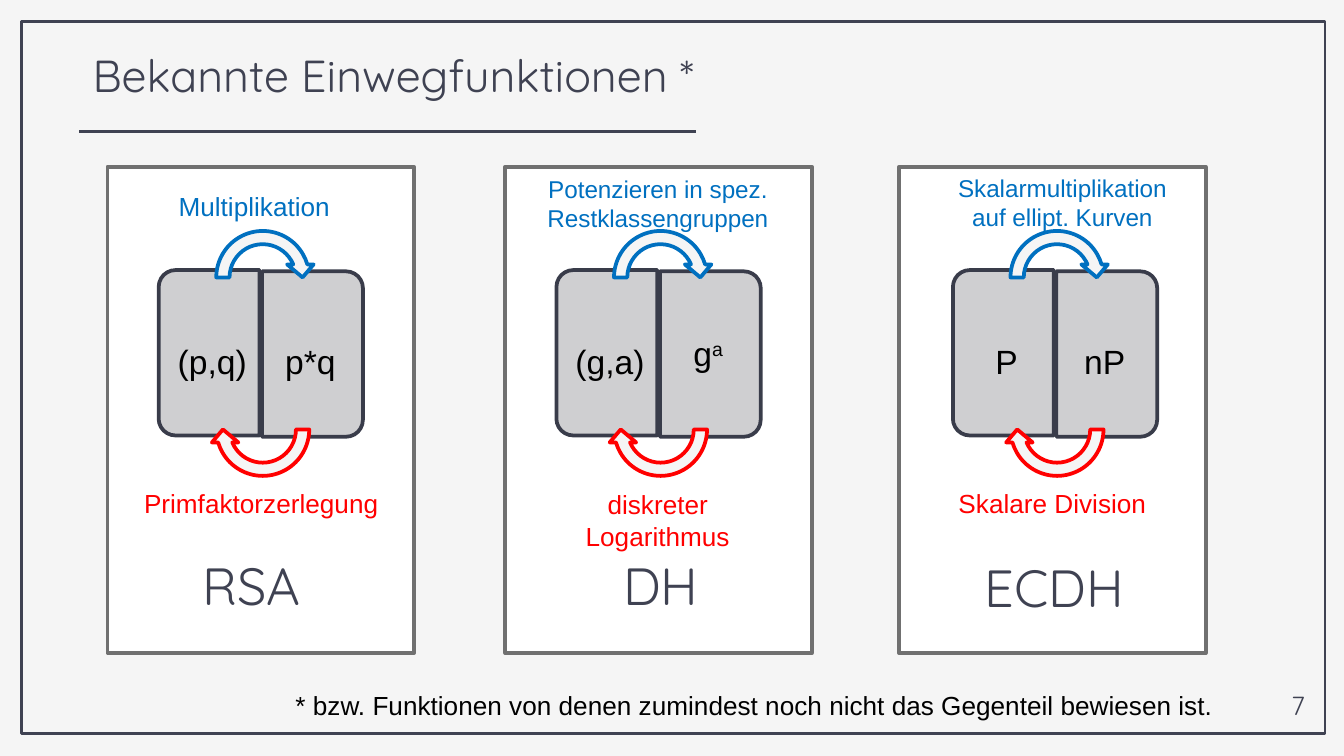
from pptx import Presentation
from pptx.dml.color import RGBColor
from pptx.enum import shapes, text
from pptx.util import Pt
from lxml import etree

HUES = {
    "page": "F5F5F5", "ink": "3F4252", "card": "FFFFFF", "rim": "707070",
    "half": "CFCFD1", "edge": "393C4A", "blue": "0070C0", "red": "FF0000",
    "black": "000000",
}
KIND = shapes.MSO_SHAPE
LEFT = text.PP_ALIGN.LEFT
MID = text.PP_ALIGN.CENTER
TOP = text.MSO_ANCHOR.TOP
CORE = text.MSO_ANCHOR.MIDDLE

PANELS = [
    {"left": 57.6, "shift": 0, "pair": ["(p,q)", "p*q"], "power": "",
     "labels": [
         ("RSA", (101.5, 293, 77, 41), 28, "ink", "Quicksand", LEFT),
         ("Multiplikation", (88.6, 98.6, 103, 24.5), 14, "blue", "Arial", LEFT),
         ("Primfaktorzerlegung", (69.1, 257.8, 141.8, 24.5), 14, "red", "Arial", MID)]},
    {"left": 270.7, "shift": 0, "pair": ["(g,a)", "g"], "power": "a",
     "labels": [
         ("DH", (315.4, 293, 77, 41), 28, "ink", "Quicksand", MID),
         ("Potenzieren in spez. Restklassengruppen", (281.5, 90, 141.8, 38.9),
          13, "blue", "Arial", MID),
         ("diskreter Logarithmus", (277.9, 258.2, 149, 24.5), 14, "red", "Arial", MID)]},
    {"left": 481.7, "shift": 1.4, "pair": ["P", "nP"], "power": "",
     "labels": [
         ("ECDH", (520.6, 293.8, 91.4, 41), 28, "ink", "Quicksand", LEFT),
         ("Skalarmultiplikation auf ellipt. Kurven", (498.2, 89.3, 141.8, 38.9),
          13, "blue", "Arial", MID),
         ("Skalare Division", (488.9, 257.8, 149.8, 24.5), 14, "red", "Arial", MID)]},
]


def hue(name):
    return RGBColor.from_string(HUES[name])


def add_form(host, kind, box, fill, line, width=2, turn=0):
    form = host.add_shape(kind, *map(Pt, box))
    form.shadow.inherit = False
    form.rotation = turn
    if fill:
        form.fill.solid()
        form.fill.fore_color.rgb = hue(fill)
    else:
        form.fill.background()
    form.line.color.rgb = hue(line)
    form.line.width = Pt(width)


def add_text(host, words, box, size, tint, face="Arial", align=LEFT,
             anchor=TOP, drop=3.6, power=""):
    frame = host.add_textbox(*map(Pt, box)).text_frame
    frame.word_wrap = True
    frame.vertical_anchor = anchor
    frame.margin_top = Pt(drop)
    if anchor == CORE:
        frame.margin_bottom = 0
    par = frame.paragraphs[0]
    par.text = words
    par.alignment = align
    if power:
        top = par.add_run()
        top.text = power
        top.font._element.set("baseline", "30000")
    for run in par.runs:
        run.font.size = Pt(size)
        run.font.name = face
        run.font.color.rgb = hue(tint)


def add_rule(host, left, right, y):
    rule = host.add_connector(shapes.MSO_CONNECTOR.STRAIGHT,
                              Pt(left), Pt(y), Pt(right), Pt(y))
    rule.line.color.rgb = hue("ink")
    rule.line.width = Pt(1.5)
    space = "http://schemas.openxmlformats.org/drawingml/2006/main"
    etree.SubElement(rule._element.spPr, "{%s}effectLst" % space)


def add_panel(slide, panel):
    host = slide.shapes.add_group_shape().shapes
    add_form(host, KIND.RECTANGLE, (panel["left"], 89.3, 164.2, 260.6), "card", "rim")
    left = panel["left"] + panel["shift"]
    first, second = panel["pair"]
    power = panel["power"]
    halves = [(first, 10.1, 30.2, 162, 270, ""), (second, 65.5, 82.8, 162.7, 90, power)]
    for words, x, inset, y, turn, raised in halves:
        add_form(host, KIND.ROUND_2_SAME_RECTANGLE, (left + x, y, 88.6, 54),
                 "half", "edge", turn=turn)
        add_text(host, words, (left + inset, 147.6, 51.8, 83.5), 18, "black",
                 align=MID, anchor=CORE, drop=0 if raised else 8, power=raised)
    for y, turn, tint in [(120.2, 0, "blue"), (201.6, 180, "red")]:
        add_form(host, KIND.CIRCULAR_ARROW, (left + 54.7, y, 56.9, 56.9),
                 "page", tint, turn=turn)
    for label in panel["labels"]:
        add_text(host, *label)


def main():
    deck = Presentation()
    deck.slide_width, deck.slide_height = Pt(720), Pt(405)
    slide = deck.slides.add_slide(deck.slide_layouts[6])
    slide.background.fill.solid()
    slide.background.fill.fore_color.rgb = hue("page")
    host = slide.shapes
    add_form(host, KIND.RECTANGLE, (11.5, 11.5, 698.4, 381.6), None, "ink", 1.5)
    add_rule(host, 42.5, 373, 70.5)
    add_text(host, "Bekannte Einwegfunktionen *", (42.5, 17.3, 337.7, 45.4),
             24, "ink", "Quicksand", anchor=CORE, drop=0)
    for panel in PANELS:
        add_panel(slide, panel)
    add_text(host, "* bzw. Funktionen von denen zumindest noch nicht das "
             "Gegenteil bewiesen ist.", (151.2, 365.8, 519, 24.5), 14, "black")
    add_text(host, "7", (684.7, 365.8, 29.5, 24.5), 14, "ink", "Quicksand")
    deck.save("out.pptx")


if __name__ == "__main__":
    main()
